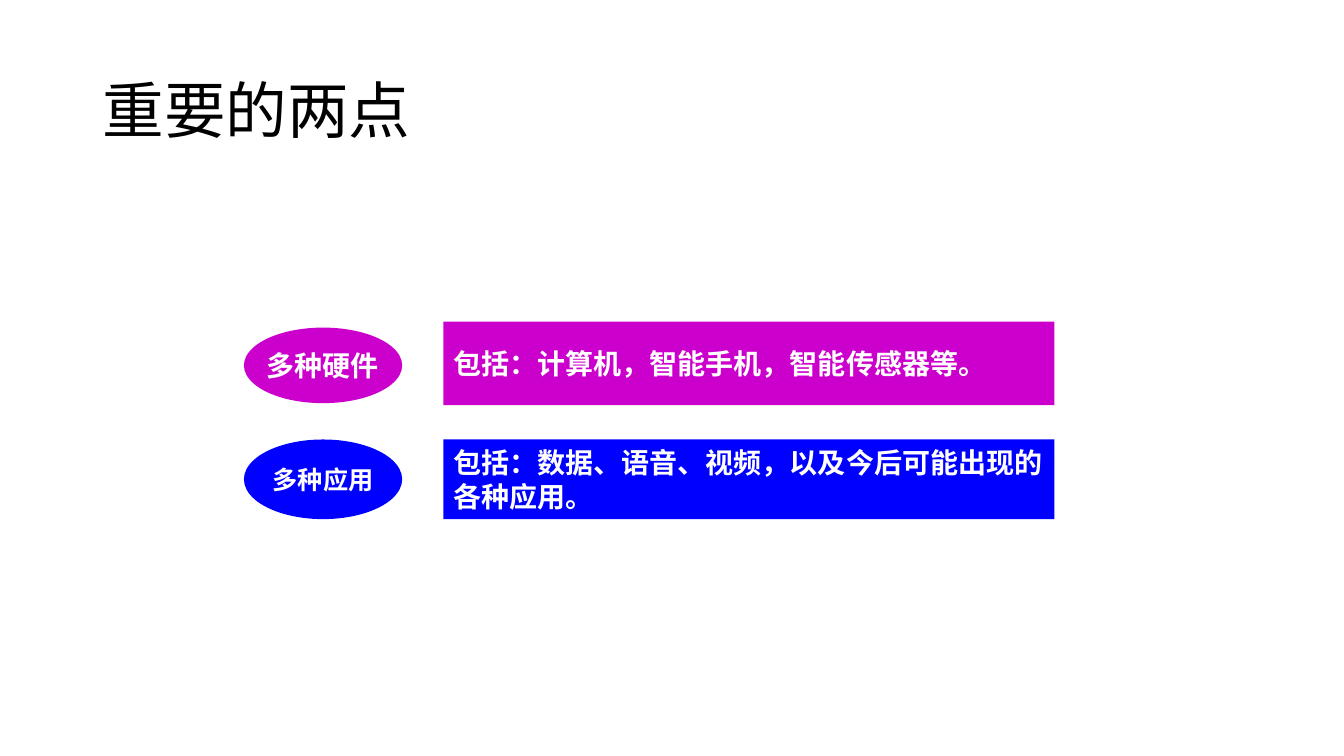
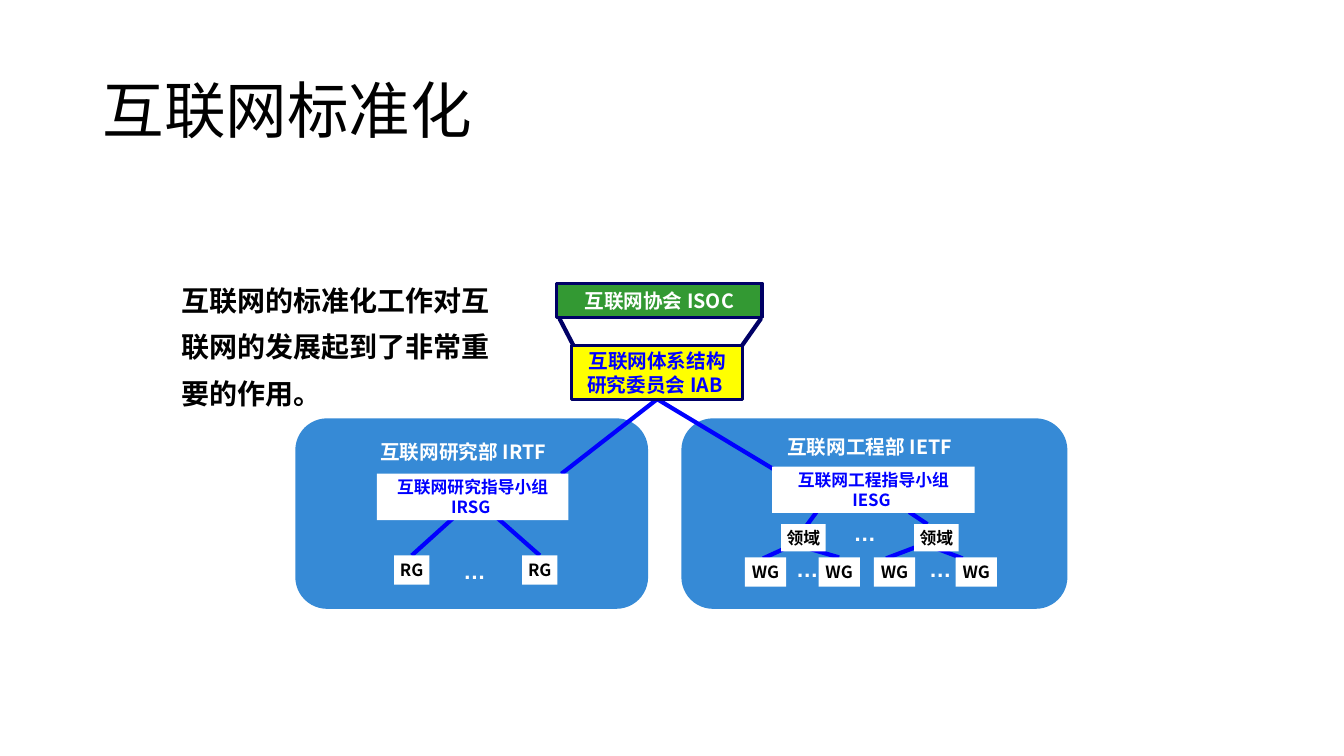
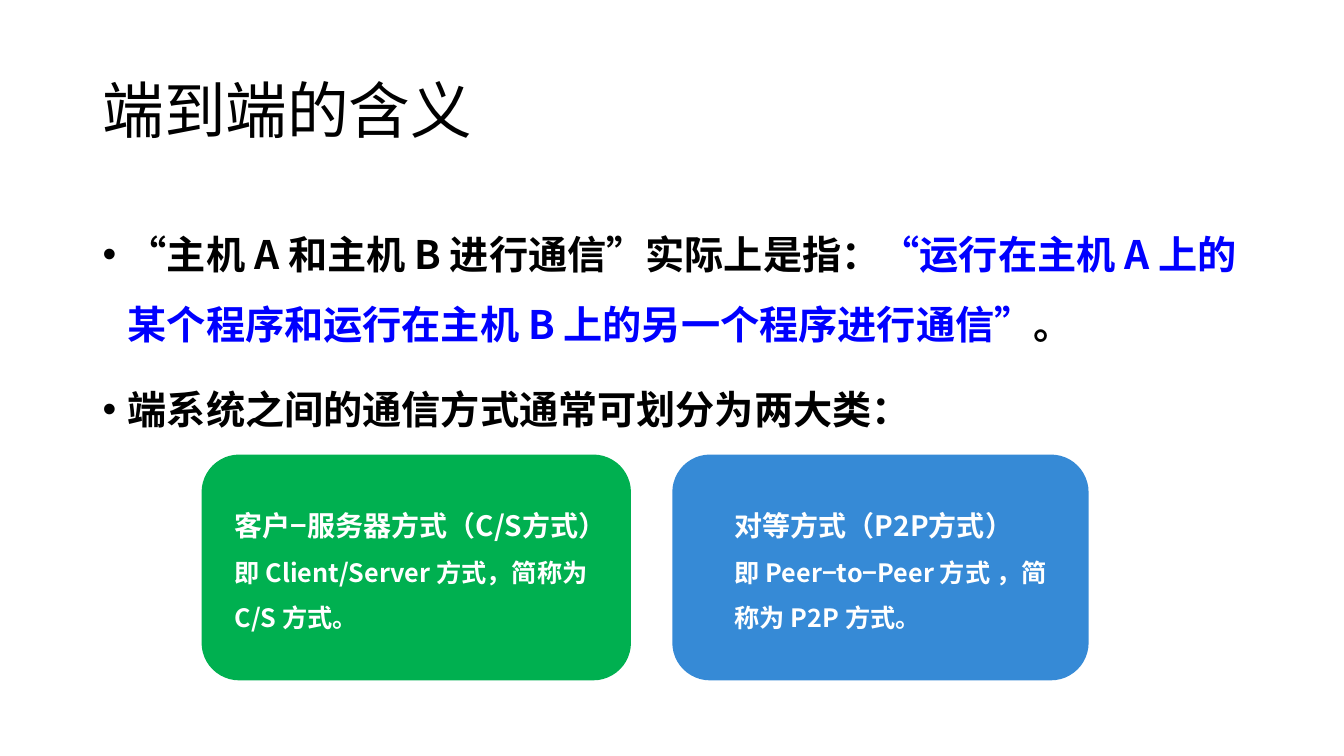
from lxml.etree import SubElement
from pptx import Presentation
from pptx.dml.color import RGBColor
from pptx.enum.shapes import MSO_CONNECTOR as Link, MSO_SHAPE as Preset
from pptx.enum.text import MSO_ANCHOR as Anchor, PP_ALIGN as Align
from pptx.oxml.ns import qn
from pptx.util import Inches, Pt

CELL = 0.1
COLUMNS, ROWS = 133.33, 75
CJK, LATIN = "Noto Sans CJK SC", "Arial"
BLACK, WHITE, BLUE, NAVY = "000000", "FFFFFF", "0000FF", "000066"
SKY, GREEN, PURPLE, YELLOW, LEAF = "368AD6", "00B050", "CC00CC", "FFFF00", "339933"
TITLE_AREA = (9.2, 4, 115, 14.5)
BODY_AREA = (9.2, 20, 115, 47.6)
CENTRE = {"alignment": Align.CENTER}
MIDDLE = {"vertical_anchor": Anchor.MIDDLE, "word_wrap": True}
UNWRAPPED = {**MIDDLE, "word_wrap": False}
TOP = {"vertical_anchor": Anchor.TOP, "word_wrap": True}
LABEL = {**TOP, "word_wrap": False}

POINTS = [
    ("多种硬件", 20, "包括：计算机，智能手机，智能传感器等。", PURPLE, (32.5, 7.5), (31.9, 8.3), {}),
    ("多种应用", 18, "包括：数据、语音、视频，以及今后可能出现的各种应用。", BLUE,
     (43.6, 7.9), (43.6, 7.9), {"line_spacing": Pt(24)}),
]

STANDARDS_NOTE = "互联网的标准化工作对互联网的发展起到了非常重要的作用。"
REGIONS = [(67.6, 38.3), (29.3, 35)]
REGION_TITLES = [("互联网研究部 IRTF", 36.3, 43.2, 19.3), ("互联网工程部 IETF ", 76.8, 42.7, 19.4)]
RESEARCH_GROUPS = (39.1, 51.8)
AREAS = [(79.7, 3.65), (92.9, 4.05)]
ELLIPSES = [(45, 54.8), (83.7, 51), (78, 54.6), (91.2, 54.6)]
BOARDS = [
    ("IAB", "互联网体系结构\n研究委员会 IAB ", (56.7, 34.3, 17, 5.3), YELLOW, NAVY, 14, BLUE),
    ("IRSG", "互联网研究指导小组\nIRSG ", (37.4, 47, 19, 4.6), WHITE, None, 12, BLUE),
    ("IESG", "互联网工程指导小组\nIESG ", (76.6, 46.3, 20.1, 4.6), WHITE, None, 12, BLUE),
    ("ISOC", "互联网协会 ISOC", (55.2, 28.1, 20.4, 3.4), LEAF, NAVY, 14, WHITE),
]
BRANCHES = [
    ((48.9, 51), (53.6, 55.1), BLUE, None, "RG2"),
    ((45.4, 51), (40.8, 55.1), BLUE, None, "RG1"),
    ((79.9, 52.3), (81, 50.8), BLUE, None, None),
    ((90.2, 50.8), (92, 52), BLUE, None, None),
    ((78.1, 54.3), (75.7, 55.4), BLUE, None, None),
    ((79.8, 54.3), (83.3, 55.4), BLUE, None, "WG2"),
    ((90.8, 54.3), (87.9, 55.4), BLUE, None, None),
    ((92.6, 54.3), (95.5, 55.4), BLUE, None, None),
    ((65.2, 39.6), (77.5, 47), BLUE, "IAB", None),
    ((65.2, 39.6), (55.7, 47), BLUE, "IAB", None),
    ((75.5, 31.6), (73.6, 34.3), NAVY, None, None),
    ((55.5, 31.6), (56.9, 34.3), NAVY, None, None),
]

MEANING = [
    [("“主机 A 和主机 B 进行通信”实际上是指：", 28, BLACK),
     ("“运行在主机 A 上的某个程序和运行在主机 B 上的另一个程序进行通信”", 28, BLUE),
     ("。", 28, BLACK)],
    [("端系统之间的通信方式通常可划分为两大类：", 28, BLACK)],
]
MODES = [
    ("客户−服务器方式（C/S方式）", "即 Client/Server 方式，简称为 C/S 方式。", GREEN, (20, 42.6), (22.3, 40)),
    ("对等方式（P2P方式）", "即 Peer−to−Peer 方式 ，简称为 P2P 方式。", SKY, (66.7, 41.3), (71.9, 34.1)),
]


def grid(*cells):
    return [Inches(cell * CELL) for cell in cells]


def paint(color):
    return RGBColor.from_string(color)


def apply(target, values):
    for name, value in values.items():
        setattr(target, name, value)


def plain(text, size, color):
    return [[(line, size, color)] for line in text.split("\n")]


def write(box, paras, frame_format, para_format={}, bold=True, font=CJK):
    frame = box.text_frame
    apply(frame, frame_format)
    for index, spans in enumerate(paras):
        para = frame.add_paragraph() if index else frame.paragraphs[0]
        apply(para, {"alignment": Align.LEFT, **para_format})
        for text, size, color in spans:
            span = para.add_run()
            span.text = text
            apply(span.font, {"size": Pt(size), "bold": bold, "name": font})
            span.font.color.rgb = paint(color)
            SubElement(span.font._element, qn("a:ea")).set("typeface", font)
    return box


def add_text(page, area, paras, frame_format=TOP, *style, **options):
    return write(page.shapes.add_textbox(*grid(*area)), paras, frame_format, *style, **options)


def add_block(page, preset, area, fill, outline=None):
    block = page.shapes.add_shape(preset, *grid(*area))
    block.shadow.inherit = False
    block.fill.solid()
    block.fill.fore_color.rgb = paint(fill)
    if outline:
        block.line.color.rgb = paint(outline)
        block.line.width = Pt(2.25)
    else:
        block.line.fill.background()
    return block


def add_node(page, text, area, fill=WHITE, outline=None, size=12, color=BLACK):
    node = add_block(page, Preset.RECTANGLE, area, fill, outline)
    return write(node, plain(text, size, color), UNWRAPPED, CENTRE)


def add_branch(page, start, end, color):
    branch = page.shapes.add_connector(Link.STRAIGHT, *grid(*start, *end))
    branch.line.color.rgb = paint(color)
    branch.line.width = Pt(3)
    SubElement(branch._element.spPr, qn("a:effectLst"))
    return branch


def add_page(deck, title):
    page = deck.slides.add_slide(deck.slide_layouts[6])
    add_text(page, TITLE_AREA, plain(title, 44, BLACK), MIDDLE, {"line_spacing": 0.9}, bold=False)
    return page


def build_points(deck):
    page = add_page(deck, "重要的两点")
    for label, size, detail, fill, (oval_top, oval_height), (bar_top, bar_height), spacing in POINTS:
        oval = add_block(page, Preset.OVAL, (24.2, oval_top, 15.7, oval_height), fill)
        write(oval, plain(label, size, WHITE), UNWRAPPED, CENTRE)
        bar = add_block(page, Preset.RECTANGLE, (44, bar_top, 60.6, bar_height), fill)
        write(bar, plain(detail, 20, WHITE), MIDDLE, spacing)


def build_standards(deck):
    page = add_page(deck, "互联网标准化")
    add_text(page, (17, 26.4, 34.2, 14.9), plain(STANDARDS_NOTE, 20, BLACK), TOP, {"line_spacing": Pt(33)})
    for left, width in REGIONS:
        add_block(page, Preset.ROUNDED_RECTANGLE, (left, 41.5, width, 18.9), SKY)
    branches = [add_branch(page, *branch[:3]) for branch in BRANCHES]
    for text, left, top, width in REGION_TITLES:
        add_text(page, (left, top, width, 3.4), plain(text, 14, WHITE), LABEL, CENTRE)
    for left, top in ELLIPSES:
        add_text(page, (left, top, 3.6, 3.1), plain("…", 16, WHITE), LABEL, font=LATIN)

    nodes = {}
    for number, left in enumerate(RESEARCH_GROUPS, 1):
        nodes[f"RG{number}"] = add_node(page, "RG", (left, 55.1, 3.5, 2.9))
    for index, (middle, spread) in enumerate(AREAS):
        add_node(page, "领域", (middle - 2.2, 52, 4.4, 2.7))
        for side, offset in enumerate((-spread, spread), 1):
            area = (middle + offset - 2.15, 55.3, 4.1, 2.9)
            nodes[f"WG{2 * index + side}"] = add_node(page, "WG", area)
    for name, text, *look in BOARDS:
        nodes[name] = add_node(page, text, *look)

    for branch, (*_, source, target) in zip(branches, BRANCHES):
        if source:
            branch.begin_connect(nodes[source], 2)
        if target:
            branch.end_connect(nodes[target], 0)


def build_meaning(deck):
    page = add_page(deck, "端到端的含义")
    body = add_text(page, BODY_AREA, MEANING, TOP, {"line_spacing": 1.5, "space_before": Pt(10)})
    for para in body.text_frame.paragraphs:
        props = para._p.get_or_add_pPr()
        props.set("marL", str(Inches(0.25)))
        props.set("indent", str(-Inches(0.25)))
        SubElement(props, qn("a:buFont")).set("typeface", LATIN)
        SubElement(props, qn("a:buChar")).set("char", "•")
    for heading, detail, fill, (left, width), (text_left, text_width) in MODES:
        add_block(page, Preset.ROUNDED_RECTANGLE, (left, 45.1, width, 22.4), fill)
        paras = plain(heading, 20, WHITE) + plain(detail, 18, WHITE)
        add_text(page, (text_left, 48.3, text_width, 15.1), paras, TOP, {"line_spacing": 1.5})


def main():
    deck = Presentation()
    deck.slide_width, deck.slide_height = grid(COLUMNS, ROWS)
    for build in (build_points, build_standards, build_meaning):
        build(deck)
    deck.save("out.pptx")


if __name__ == "__main__":
    main()
